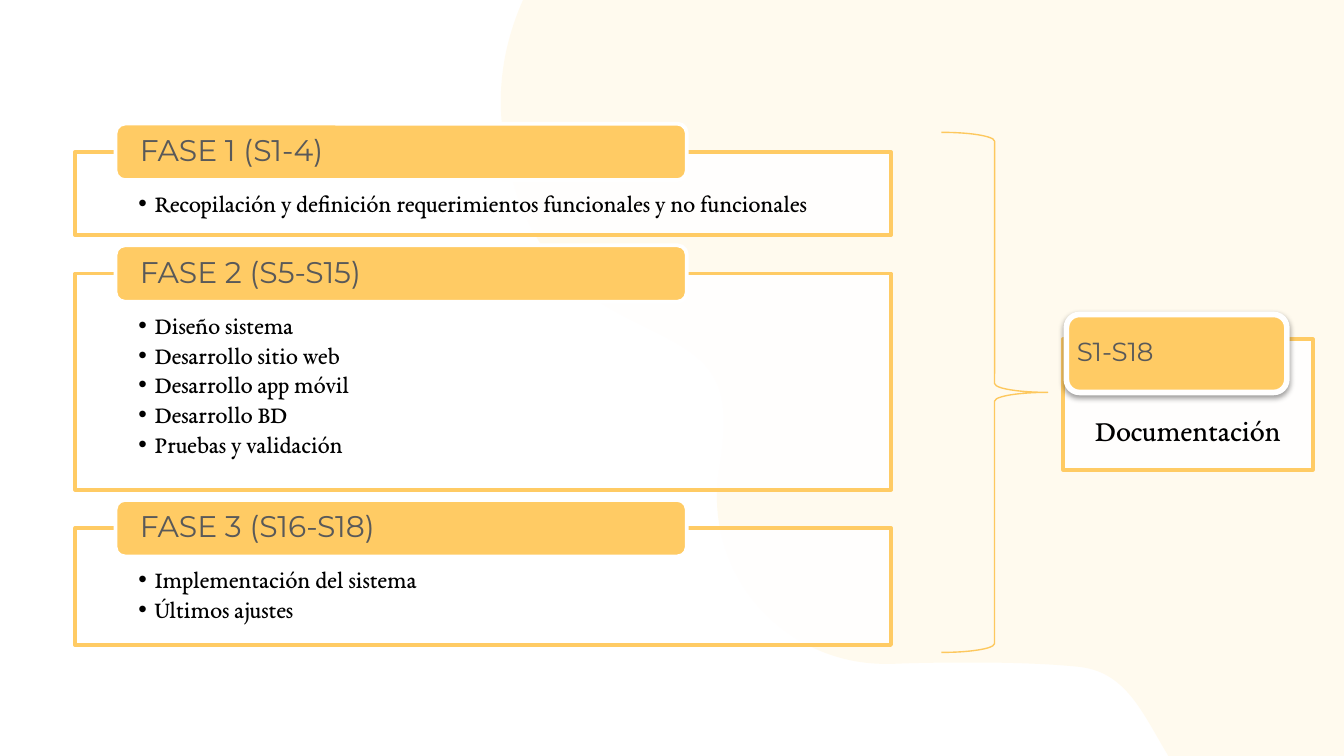
from dataclasses import dataclass

from lxml import etree
from pptx import Presentation
from pptx.dml.color import RGBColor
from pptx.enum.shapes import MSO_SHAPE
from pptx.enum.text import MSO_ANCHOR, PP_ALIGN
from pptx.oxml.ns import qn
from pptx.util import Emu, Pt

RECT = MSO_SHAPE.RECTANGLE
ROUND_RECT = MSO_SHAPE.ROUNDED_RECTANGLE
RIGHT_BRACE = MSO_SHAPE.RIGHT_BRACE
TOP, MIDDLE = MSO_ANCHOR.TOP, MSO_ANCHOR.MIDDLE
LEFT, CENTER = PP_ALIGN.LEFT, PP_ALIGN.CENTER

EMU_PER_PX = 4572
AMBER, BRACE, CREAM = "FFCB64", "FDC85E", "FFF2CC"
WHITE, BLACK, GRAY = "FFFFFF", "000000", "595959"
SERIF, SANS = "EB Garamond", "Montserrat"
PHASE_TOP, PHASE_GAP = 226, 57


@dataclass(frozen=True)
class Box:
    x: int
    y: int
    w: int
    h: int


@dataclass(frozen=True)
class Phase:
    title: str
    tasks: tuple[str, ...]
    height: int


PHASES = [
    Phase("FASE 1 (S1-4)",
          ("Recopilación y definición requerimientos funcionales y no funcionales",), 124),
    Phase("FASE 2 (S5-S15)",
          ("Diseño sistema", "Desarrollo sitio web", "Desarrollo app móvil",
           "Desarrollo BD", "Pruebas y validación"), 322),
    Phase("FASE 3 (S16-S18)", ("Implementación del sistema", "Últimos ajustes"), 174),
]

BLOB_START = (806, -52)
BLOB_SEGMENTS = [
    ((760, 22), (734, 112), (750, 208)),
    ((798, 516), (1036, 456), (1072, 584)),
    ((1080, 614), (1078, 654), (1070, 700)),
    ((1046, 852), (1164, 988), (1318, 988)),
    ((1322, 988), (1324, 988), (1328, 988)),
    ((1370, 986), (1414, 986), (1456, 986)),
    ((1510, 986), (1560, 988), (1602, 992)),
    ((1748, 1004), (1696, 1232), (1978, 1304)),
    ((2006, 1304),),
    ((2028, 1304), (2046, 1286), (2046, 1264)),
    ((2046, -12),),
    ((2046, -30), (2034, -46), (2016, -52)),
]


def px(n: int) -> Emu:
    return Emu(n * EMU_PER_PX)


def rgb(color: str) -> RGBColor:
    return RGBColor.from_string(color)


def set_fill(sp, color: str, opacity: int = 100) -> None:
    sp.fill.solid()
    sp.fill.fore_color.rgb = rgb(color)
    if opacity < 100:
        clr = sp._element.spPr.find(qn("a:solidFill"))[0]
        etree.SubElement(clr, qn("a:alpha"), val=str(opacity * 1000))


def add_shape(s, kind, box: Box, line: str, width: float,
              fill: str | None = None, opacity: int = 100):
    sp = s.shapes.add_shape(kind, px(box.x), px(box.y), px(box.w), px(box.h))
    sp.shadow.inherit = False
    if fill:
        set_fill(sp, fill, opacity)
    else:
        sp.fill.background()
    sp.line.color.rgb = rgb(line)
    sp.line.width = Pt(width)
    return sp


def add_bullet(p, indent: int) -> None:
    pPr = p._p.get_or_add_pPr()
    pPr.set("marL", str(px(indent)))
    pPr.set("indent", str(-px(indent)))
    clr = etree.SubElement(pPr, qn("a:buClr"))
    etree.SubElement(clr, qn("a:srgbClr"), val=BLACK)
    etree.SubElement(pPr, qn("a:buFont"), typeface="Arial")
    etree.SubElement(pPr, qn("a:buChar"), char="•")


def set_text(sp, *lines: str, font: str, size: int, color: str,
             margins: tuple[int, int, int, int], anchor=TOP, align=LEFT,
             bullet_indent: int = 0) -> None:
    tf = sp.text_frame
    tf.word_wrap = True
    tf.vertical_anchor = anchor
    tf.margin_left, tf.margin_top, tf.margin_right, tf.margin_bottom = map(px, margins)
    for i, line in enumerate(lines):
        p = tf.add_paragraph() if i else tf.paragraphs[0]
        p.alignment = align
        p.line_spacing = 0.9
        p.space_after = Pt(size * 0.15)
        if bullet_indent:
            add_bullet(p, bullet_indent)
        r = p.add_run()
        r.text = line
        r.font.name = font
        r.font.size = Pt(size)
        r.font.color.rgb = rgb(color)


def add_shadow(sp) -> None:
    effects = sp._element.spPr.find(qn("a:effectLst"))
    shadow = etree.SubElement(effects, qn("a:outerShdw"), blurRad=str(Pt(3.1)),
                              dist=str(Pt(1.6)), dir="5400000", rotWithShape="0")
    clr = etree.SubElement(shadow, qn("a:srgbClr"), val=BLACK)
    etree.SubElement(clr, qn("a:alpha"), val="38000")


def add_blob(s) -> None:
    builder = s.shapes.build_freeform(*BLOB_START, scale=EMU_PER_PX)
    points = [point for segment in BLOB_SEGMENTS for point in segment]
    builder.add_line_segments(points, close=True)
    sp = builder.convert_to_shape()
    lines = iter(list(sp._element.iter(qn("a:lnTo"))))
    for segment in BLOB_SEGMENTS:
        first, *rest = [next(lines) for _ in segment]
        if rest:
            curve = etree.Element(qn("a:cubicBezTo"))
            first.addprevious(curve)
            for line in (first, *rest):
                curve.append(line[0])
                line.getparent().remove(line)
    sp.shadow.inherit = False
    set_fill(sp, CREAM, 33)
    sp.line.fill.background()


def add_phase(s, phase: Phase, y: int) -> None:
    body = add_shape(s, RECT, Box(112, y, 1214, phase.height), AMBER, 2, WHITE, 90)
    set_text(body, *phase.tasks, font=SERIF, size=13, color=BLACK,
             margins=(94, 59, 94, 20), bullet_indent=24)
    header = add_shape(s, ROUND_RECT, Box(172, y - 42, 850, 84), WHITE, 2, AMBER)
    set_text(header, phase.title, font=SANS, size=16, color=GRAY,
             margins=(32, 0, 32, 0), anchor=MIDDLE)


def add_documentation(s) -> None:
    body = add_shape(s, RECT, Box(1582, 505, 372, 194), AMBER, 2, WHITE, 90)
    set_text(body, "Documentación", font=SERIF, size=16, color=BLACK,
             margins=(28, 114, 28, 24), align=CENTER)
    header = add_shape(s, ROUND_RECT, Box(1587, 468, 328, 116), WHITE, 3, AMBER)
    add_shadow(header)
    set_text(header, "S1-S18", font=SANS, size=14, color=GRAY,
             margins=(10, 0, 10, 0), anchor=MIDDLE)


def main() -> None:
    prs = Presentation()
    prs.slide_width, prs.slide_height = px(2000), px(1125)
    s = prs.slides.add_slide(prs.slide_layouts[6])
    add_blob(s)
    y = PHASE_TOP
    for phase in PHASES:
        add_phase(s, phase, y)
        y += phase.height + PHASE_GAP
    add_shape(s, RIGHT_BRACE, Box(1401, 197, 158, 774), BRACE, 0.75)
    add_documentation(s)
    prs.save("out.pptx")


if __name__ == "__main__":
    main()
